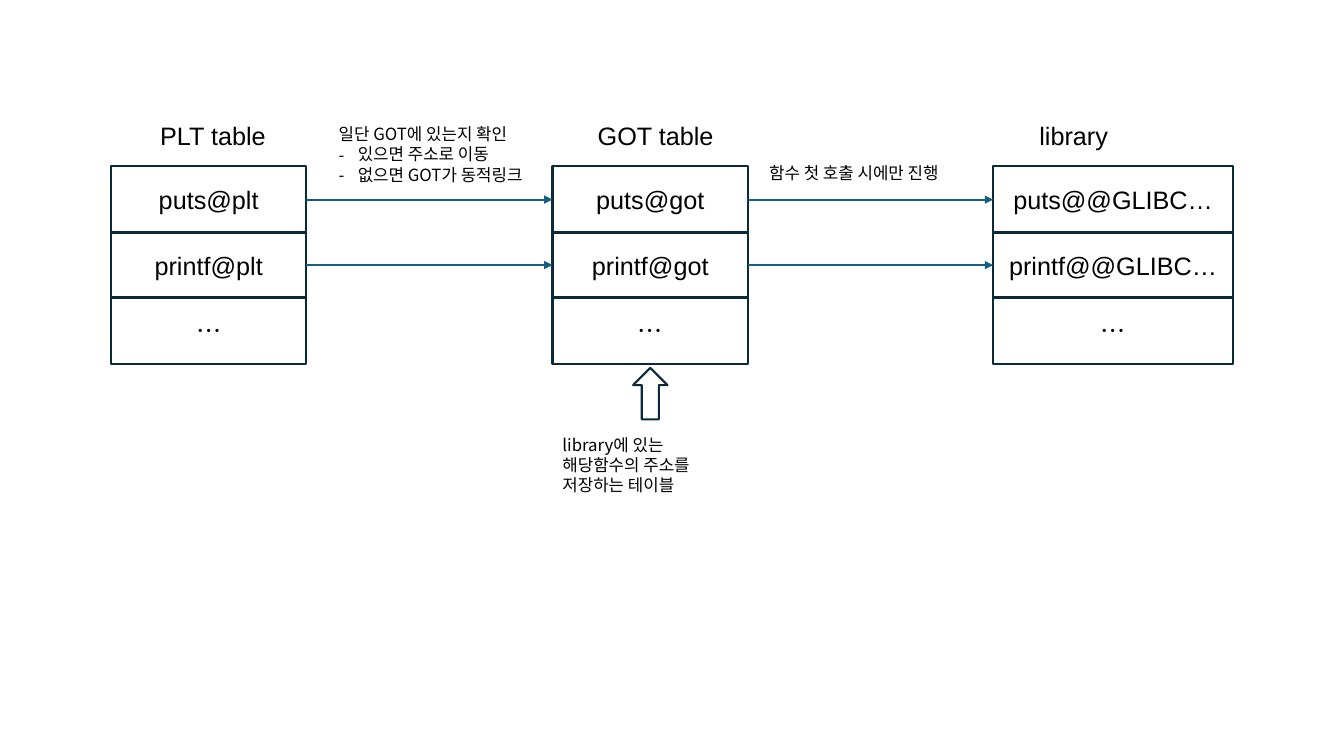
from lxml.etree import SubElement
from pptx import Presentation
from pptx.dml.color import RGBColor
from pptx.enum.shapes import MSO_CONNECTOR, MSO_SHAPE
from pptx.enum.text import MSO_ANCHOR, MSO_AUTO_SIZE, PP_ALIGN
from pptx.oxml.ns import qn
from pptx.util import Inches, Pt

COLOURS = {"outline": "092A39", "arrow": "156082", "text": "000000"}
LATIN, KOREAN = "Arial", "Noto Sans CJK KR"
ROW_TOP, ROW_PITCH, ROW_HEIGHT = 1.65, 0.65, 0.66
RIGHT_SIDE, LEFT_SIDE = 3, 1

TABLES = [
    {"title": "PLT table", "title_left": 1.49, "left": 1.1, "width": 1.94,
     "rows": ["puts@plt", "printf@plt", "…"]},
    {"title": "GOT table", "title_left": 5.83, "left": 5.48, "width": 1.94,
     "rows": ["puts@got", "printf@got", "…"]},
    {"title": "library", "title_left": 10.21, "left": 9.85, "width": 2.38,
     "rows": ["puts@@GLIBC…", "printf@@GLIBC…", "…"]},
]
LINKED_ROWS = 2
NOTES = [
    ((7.53, 1.57, 2.22, 0.3), ["함수 첫 호출 시에만 진행"], []),
    ((3.26, 1.18, 2.22, 0.71), ["일단 GOT에 있는지 확인"],
     ["있으면 주소로 이동", "없으면 GOT가 동적링크"]),
    ((5.48, 4.26, 1.84, 0.71), ["library에 있는 해당함수의 주소를 저장하는 테이블"], []),
]
UP_ARROW = (6.28, 3.65, 0.34, 0.51)


def colour(name):
    return RGBColor.from_string(COLOURS[name])


def inches(place):
    return [Inches(length) for length in place]


def write(frame, lines, size, font):
    frame.text = "\n".join(lines)
    for para in frame.paragraphs:
        for span in para.runs:
            span.font.size = Pt(size)
            span.font.name = font
            span.font.color.rgb = colour("text")
            SubElement(span.font._element, qn("a:ea")).set("typeface", font)


def add_outline(page, kind, place):
    shape = page.shapes.add_shape(kind, *inches(place))
    shape.shadow.inherit = False
    shape.fill.background()
    shape.line.color.rgb = colour("outline")
    shape.line.width = Pt(1.5)
    return shape


def add_cell(page, place, label):
    cell = add_outline(page, MSO_SHAPE.RECTANGLE, place)
    frame = cell.text_frame
    frame.vertical_anchor = MSO_ANCHOR.MIDDLE
    write(frame, [label], 18, KOREAN if label == "…" else LATIN)
    frame.paragraphs[0].alignment = PP_ALIGN.CENTER
    return cell


def add_label(page, place, lines, size, font):
    frame = page.shapes.add_textbox(*inches(place)).text_frame
    frame.word_wrap = True
    frame.auto_size = MSO_AUTO_SIZE.SHAPE_TO_FIT_TEXT
    write(frame, lines, size, font)
    return frame


def add_dash(para):
    properties = para._p.get_or_add_pPr()
    properties.set("marL", str(Inches(0.19)))
    properties.set("indent", str(-Inches(0.19)))
    SubElement(properties, qn("a:buFont")).set("typeface", KOREAN)
    SubElement(properties, qn("a:buChar")).set("char", "-")


def link(page, source, target):
    arrow = page.shapes.add_connector(MSO_CONNECTOR.STRAIGHT, 0, 0, 0, 0)
    arrow.begin_connect(source, RIGHT_SIDE)
    arrow.end_connect(target, LEFT_SIDE)
    arrow.line.color.rgb = colour("arrow")
    arrow.line.width = Pt(1.5)
    SubElement(arrow.line._get_or_add_ln(), qn("a:tailEnd")).set("type", "triangle")
    SubElement(arrow._element.spPr, qn("a:effectLst"))


def main():
    deck = Presentation()
    deck.slide_width, deck.slide_height = Inches(13.33), Inches(7.5)
    page = deck.slides.add_slide(deck.slide_layouts[6])

    columns = []
    for table in TABLES:
        add_label(page, (table["title_left"], 1.14, 1.55, 0.4), [table["title"]], 18, LATIN)
        columns.append([
            add_cell(page, (table["left"], ROW_TOP + row * ROW_PITCH,
                            table["width"], ROW_HEIGHT), label)
            for row, label in enumerate(table["rows"])
        ])

    for sources, targets in zip(columns, columns[1:]):
        for source, target in zip(sources[:LINKED_ROWS], targets):
            link(page, source, target)

    for place, lines, dashed in NOTES:
        frame = add_label(page, place, lines + dashed, 12, KOREAN)
        for para in frame.paragraphs[len(lines):]:
            add_dash(para)

    add_outline(page, MSO_SHAPE.UP_ARROW, UP_ARROW)
    deck.save("out.pptx")


if __name__ == "__main__":
    main()
